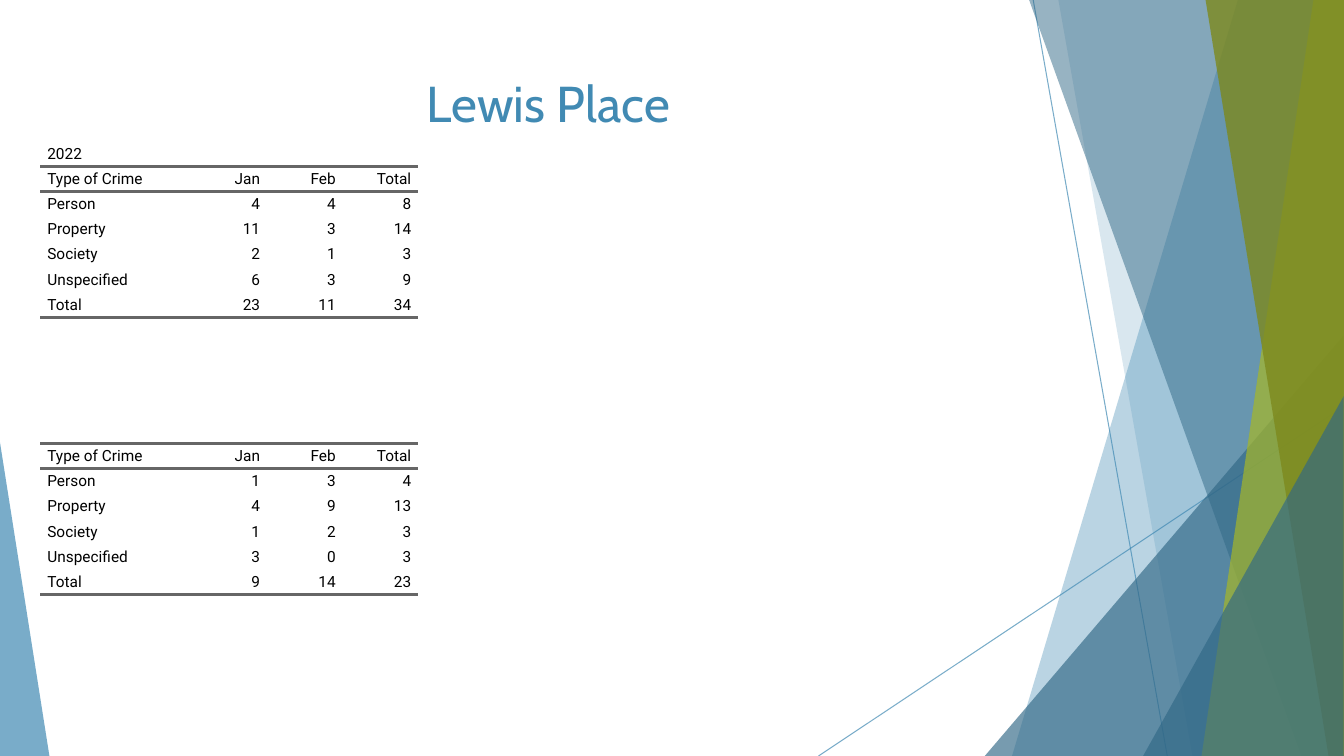
from pptx import Presentation
from pptx.dml.color import RGBColor
from pptx.enum.shapes import MSO_CONNECTOR, MSO_SHAPE
from pptx.enum.text import MSO_ANCHOR, PP_ALIGN
from pptx.oxml.ns import qn
from pptx.util import Inches, Pt
from lxml.etree import SubElement

# The grid has square steps of a tenth of an inch.
COLUMNS, ROWS = 133.33, 75
COLORS = {"blue": "418AB3", "navy": "316886", "lime": "A6B727",
          "olive": "7D891D", "rule": "666666", "text": "000000"}
PLAIN_TABLE = "{2D5ABB26-0587-4C30-8999-92F81FD0307C}"

# Bands reach the right edge: left edge at the top, at the bottom, color, opacity
BACK_BANDS = [(122.8, 100.4, "blue", 36), (105, 118.3, "blue", 20)]
FRONT_BANDS = [(102.1, 129.1, "navy", 50), (130.3, 119.2, "lime", 70),
               (119.6, 131.8, "olive", 80)]

HEADER = ["Type of Crime", "Jan", "Feb", "Total"]
CRIMES_2022 = [
    ["2022"],
    HEADER,
    ["Person", "4", "4", "8"],
    ["Property", "11", "3", "14"],
    ["Society", "2", "1", "3"],
    ["Unspecified", "6", "3", "9"],
    ["Total", "23", "11", "34"],
]
CRIMES_SECOND = [
    HEADER,
    ["Person", "1", "3", "4"],
    ["Property", "4", "9", "13"],
    ["Society", "1", "2", "3"],
    ["Unspecified", "3", "0", "3"],
    ["Total", "9", "14", "23"],
]


def step(count):
    """Length of a number of grid steps."""
    return Inches(count / 10)


def set_opacity(properties, percent):
    """Make the solid color inside a fill or line element translucent."""
    color = next(properties.iter(qn("a:srgbClr")))
    SubElement(color, qn("a:alpha")).set("val", str(percent * 1000))


class CrimeSlide:
    def __init__(self, presentation):
        self.slide = presentation.slides.add_slide(presentation.slide_layouts[6])
        self.shapes = self.slide.shapes

    def color(self, name):
        return RGBColor.from_string(COLORS[name])

    def style_run(self, run, font, size, color):
        run.font.name = font
        run.font.size = Pt(size)
        run.font.color.rgb = self.color(color)

    def tint(self, shape, color, opacity):
        shape.shadow.inherit = False
        shape.fill.solid()
        shape.fill.fore_color.rgb = self.color(color)
        set_opacity(shape.fill._xPr.find(qn("a:solidFill")), opacity)
        shape.line.fill.background()

    def hairline(self, x1, y1, x2, y2):
        line = self.shapes.add_connector(
            MSO_CONNECTOR.STRAIGHT, step(x1), step(y1), step(x2), step(y2))
        line.line.width = Pt(0.75)
        line.line.color.rgb = self.color("blue")
        properties = line._element.spPr
        set_opacity(properties, 70)
        SubElement(properties, qn("a:effectLst"))

    def band(self, top_left, bottom_left, color, opacity):
        outline = self.shapes.build_freeform(step(top_left), 0)
        outline.add_line_segments(
            [(step(COLUMNS), 0), (step(COLUMNS), step(ROWS)),
             (step(bottom_left), step(ROWS))], close=True)
        self.tint(outline.convert_to_shape(), color, opacity)

    def corner(self, left, top, width, apex, color, opacity):
        """Triangle standing on the bottom edge, apex 0 at left to 1 at right."""
        triangle = self.shapes.add_shape(
            MSO_SHAPE.ISOSCELES_TRIANGLE,
            step(left), step(top), step(width), step(ROWS - top))
        triangle.adjustments[0] = apex
        self.tint(triangle, color, opacity)

    def rule(self, cell, side):
        line = SubElement(cell._tc.get_or_add_tcPr(), qn(f"a:ln{side}"),
                          w=str(Pt(2)))
        fill = SubElement(line, qn("a:solidFill"))
        SubElement(fill, qn("a:srgbClr"), val=COLORS["rule"])

    def crime_table(self, left, top, records):
        widths = [15, 7.5, 7.5, 7.5]
        row_height = 2.5
        table = self.shapes.add_table(
            len(records), len(widths), step(left), step(top),
            step(sum(widths)), step(row_height * len(records))).table
        table._tbl.tblPr.find(qn("a:tableStyleId")).text = PLAIN_TABLE
        table.first_row = table.horz_banding = False
        for column, width in zip(table.columns, widths):
            column.width = step(width)
        for row, record in zip(table.rows, records):
            row.height = step(row_height)
            if len(record) == 1:
                row.cells[0].merge(row.cells[len(widths) - 1])
            sides = "TB" if record is HEADER else "B" if record is records[-1] else ""
            for index, (cell, value) in enumerate(zip(row.cells, record)):
                for side in sides:
                    self.rule(cell, side)
                cell.fill.background()
                self.fill_cell(cell, value, PP_ALIGN.RIGHT if index else PP_ALIGN.LEFT)

    def fill_cell(self, cell, value, alignment):
        cell.margin_left = cell.margin_right = step(0.7)
        cell.margin_top = cell.margin_bottom = 0
        cell.vertical_anchor = MSO_ANCHOR.MIDDLE
        paragraph = cell.text_frame.paragraphs[0]
        paragraph.text = value
        paragraph.alignment = alignment
        self.style_run(paragraph.runs[0], "Roboto", 11, "text")

    def title(self, left, top, width, height, text):
        frame = self.shapes.add_textbox(
            step(left), step(top), step(width), step(height)).text_frame
        frame.word_wrap = True
        frame.vertical_anchor = MSO_ANCHOR.TOP
        frame.text = text
        heading = frame.paragraphs[0]
        heading.alignment = PP_ALIGN.CENTER
        self.style_run(heading.runs[0], "Cabin", 36, "blue")


def main():
    presentation = Presentation()
    presentation.slide_width = step(COLUMNS)
    presentation.slide_height = step(ROWS)
    page = CrimeSlide(presentation)

    page.hairline(102.5, 0, 115.8, ROWS)
    page.hairline(COLUMNS, 40.3, 81.2, ROWS)
    for band in BACK_BANDS:
        page.band(*band)
    page.corner(97.7, 33.3, 35.6, 1, "navy", 66)
    for band in FRONT_BANDS:
        page.band(*band)
    page.corner(113.4, 39.3, 19.9, 1, "navy", 66)
    page.corner(0, 43.9, 4.9, 0, "blue", 70)

    page.crime_table(4, 14, CRIMES_2022)
    page.crime_table(4, 44, CRIMES_SECOND)
    page.title(7.4, 6.7, 94, 14.4, "Lewis Place")
    presentation.save("out.pptx")


if __name__ == "__main__":
    main()
